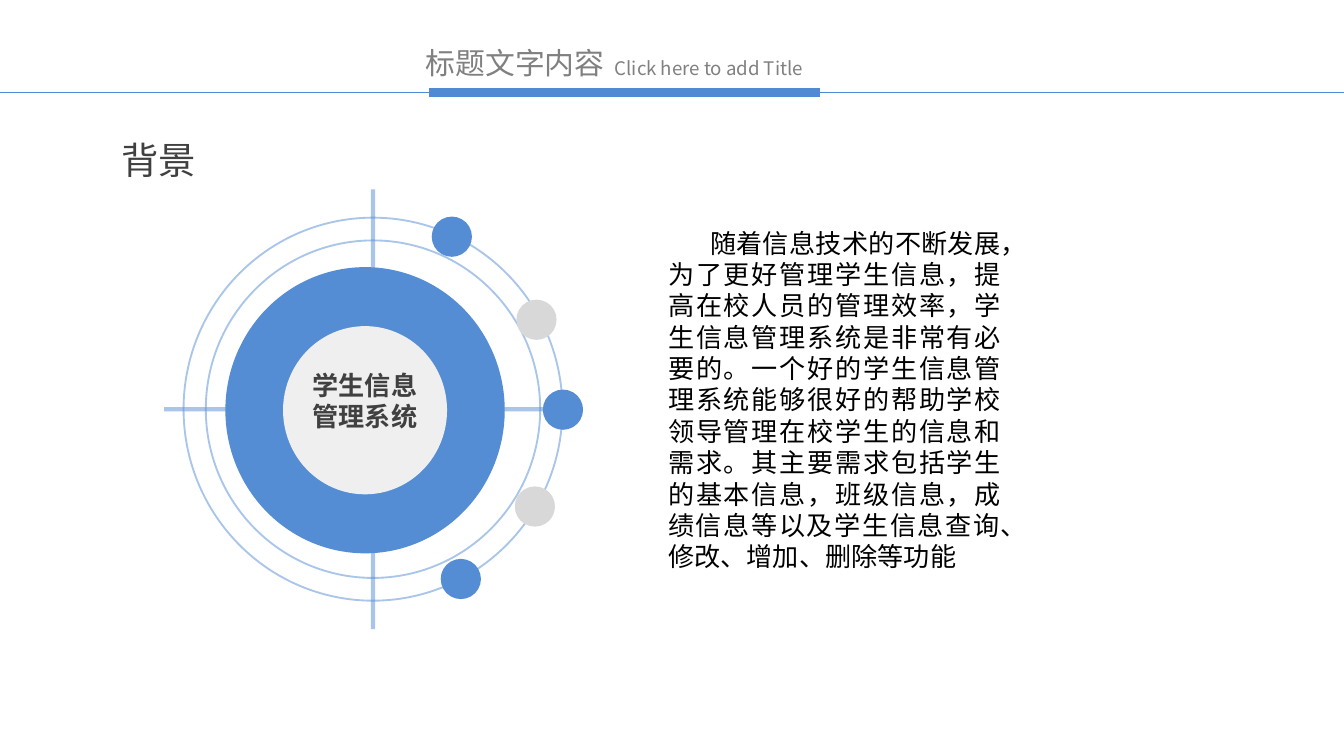
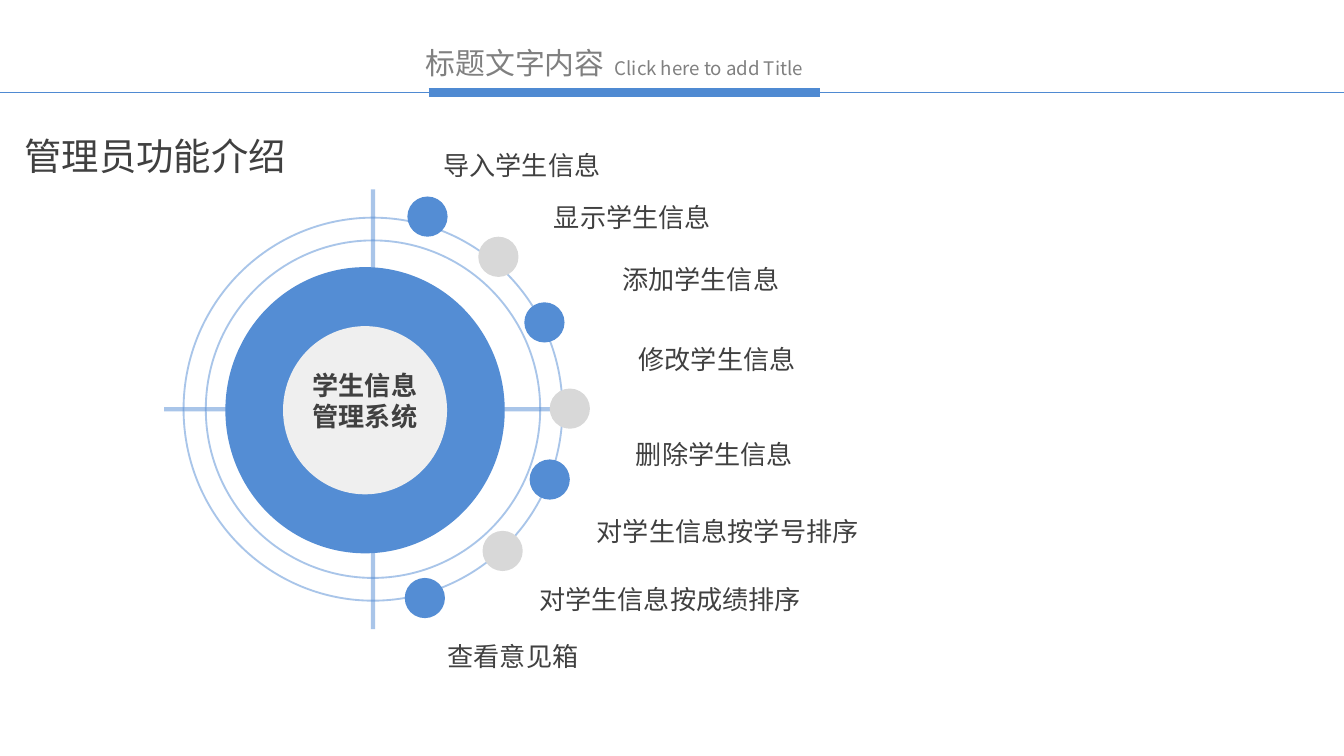
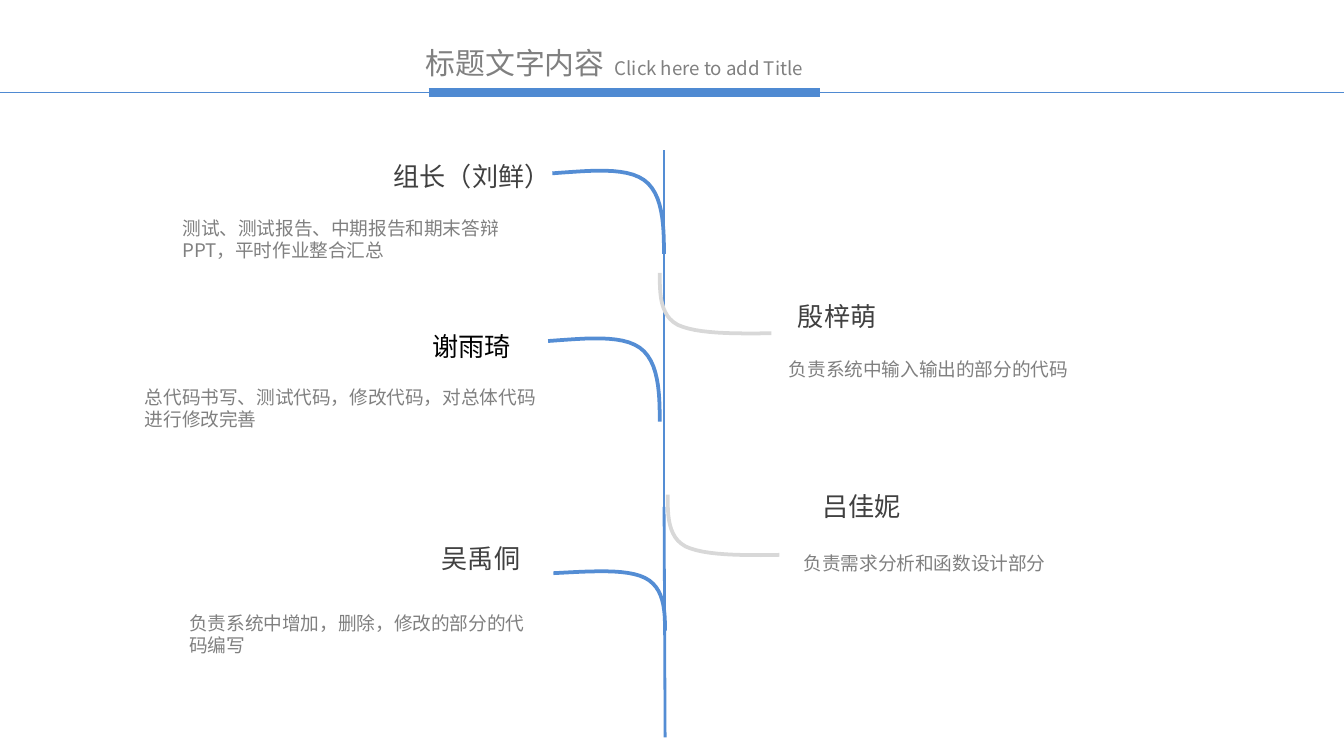
from dataclasses import dataclass
from itertools import cycle

from lxml import etree
from pptx import Presentation
from pptx.dml.color import RGBColor
from pptx.enum import shapes, text
from pptx.oxml import ns
from pptx.util import Cm, Pt


@dataclass(frozen=True)
class Theme:
    font: str = "Noto Sans CJK SC"
    header_blue: str = "4F8AD2"
    blue: str = "548DD4"
    silver: str = "D8D8D8"
    pale: str = "EFEFEF"
    black: str = "000000"
    dark: str = "404040"
    grey: str = "808080"
    title_size: int = 20
    header_size: int = 16
    body_size: int = 14
    small_size: int = 10


THEME = Theme()
PAGE_WIDTH, PAGE_HEIGHT = 25.4, 14.29
WIDE_INSETS, SLIM_INSETS = (0.25, 0.13), (0.18, 0.1)
TITLE_ONLY, BLANK = 5, 6
LEFT, CENTER, JUSTIFY = (text.PP_ALIGN.LEFT, text.PP_ALIGN.CENTER,
                         text.PP_ALIGN.JUSTIFY)

# Boxes are (left, top, width, height) in centimetres
WHEEL_BOX = (3.1, 3.58, 7.9, 8.31)

# Dot centres, measured from the centre of the wheel
BACKGROUND_DOTS = [(1.49, -3.26), (3.09, -1.69), (3.59, 0.01), (3.06, 1.84),
                   (1.66, 3.21)]
FUNCTION_DOTS = [(1.03, -3.64), (2.37, -2.88), (3.24, -1.64), (3.72, -0.01),
                 (3.34, 1.33), (2.45, 2.68), (0.98, 3.57)]

# Labels, measured from the corner of the wheel box
FUNCTIONS = [
    ("导入学生信息", 5.1, -0.86), ("显示学生信息", 7.19, 0.13),
    ("添加学生信息", 8.48, 1.3), ("修改学生信息", 8.79, 2.82),
    ("删除学生信息", 8.74, 4.6), ("对学生信息按学号排序", 8, 6.07),
    ("对学生信息按成绩排序", 6.91, 7.34), ("查看意见箱", 5.18, 8.43),
]

BACKGROUND = ("随着信息技术的不断发展，为了更好管理学生信息，提高在校人员的管理效率，"
              "学生信息管理系统是非常有必要的。一个好的学生信息管理系统能够很好的帮助"
              "学校领导管理在校学生的信息和需求。其主要需求包括学生的基本信息，班级信息，"
              "成绩信息等以及学生信息查询、修改、增加、删除等功能")

# Bezier points of the branches in a unit square
LEFT_CURVE = [(1, 1), (1, 0.65), (0.99, 0.27), (0.82, 0.11),
              (0.65, -0.05), (0.33, 0), (0, 0.03)]
RIGHT_CURVE = [(0, 0), (0, 0.35), (0, 0.7), (0.16, 0.86),
               (0.33, 1.01), (0.67, 1.01), (1, 1)]


@dataclass(frozen=True)
class Member:
    name: str
    duty: str
    branch: tuple      # box of the curve
    name_box: tuple    # left and top from the branch corner, width, height
    duty_box: tuple
    on_left: bool = True
    name_color: str = THEME.dark


MEMBERS = [
    Member("组长（刘鲜）", "测试、测试报告、中期报告和期末答辩PPT，平时作业整合汇总",
           (10.44, 3.23, 2.11, 1.57), (-3.25, -0.33, 4.14, 0.86),
           (-7.24, 0.73, 6.96, 1.12)),
    Member("殷梓萌", "负责系统中输入输出的部分的代码",
           (12.47, 5.16, 2.11, 1.14), (2.36, 0.38, 2.03, 0.86),
           (2.19, 1.47, 6.96, 0.69), on_left=False),
    Member("谢雨琦", "总代码书写、测试代码，修改代码，对总体代码进行修改完善",
           (10.36, 6.4, 2.11, 1.57), (-2.44, -0.28, 3.99, 0.86),
           (-7.87, 0.76, 7.9, 1.12), name_color=THEME.black),
    Member("吕佳妮", "负责需求分析和函数设计部分",
           (12.62, 9.35, 2.11, 1.14), (2.67, -0.21, 6.58, 0.86),
           (2.32, 0.96, 6.96, 0.69), on_left=False),
    Member("吴禹侗", "负责系统中增加，删除，修改的部分的代码编写",
           (10.46, 10.8, 2.11, 1.12), (-2.36, -0.67, 2.03, 0.86),
           (-7.13, 0.63, 6.96, 1.12)),
]


# Drawing helpers
def lengths(values):
    return [Cm(value) for value in values]


def rgb(color):
    return RGBColor.from_string(color)


def write(shape, words, size, color, align=LEFT, bold=False, wrap=True,
          insets=WIDE_INSETS):
    frame = shape.text_frame
    frame.text = words
    frame.word_wrap = wrap
    frame.auto_size = text.MSO_AUTO_SIZE.SHAPE_TO_FIT_TEXT
    frame.vertical_anchor = text.MSO_ANCHOR.TOP
    frame.margin_left = frame.margin_right = Cm(insets[0])
    frame.margin_top = frame.margin_bottom = Cm(insets[1])
    para = frame.paragraphs[0]
    para.alignment = align
    for span in para.runs:
        span.font.size = Pt(size)
        span.font.bold = bold
        span.font.name = THEME.font
        span.font.color.rgb = rgb(color)
        east_asian = etree.SubElement(span.font._element, ns.qn("a:ea"))
        east_asian.set("typeface", THEME.font)
    return para


def add_text(page, box, *args, **options):
    return write(page.shapes.add_textbox(*lengths(box)), *args, **options)


def set_line(shape, color, width, alpha=None):
    shape.line.color.rgb = rgb(color)
    shape.line.width = Pt(width)
    if alpha:
        for tint in shape.element.xpath("./p:spPr/a:ln/a:solidFill/a:srgbClr"):
            etree.SubElement(tint, ns.qn("a:alpha")).set("val", str(alpha * 1000))


def add_line(page, start, end, color, width, alpha=None):
    line = page.shapes.add_connector(shapes.MSO_CONNECTOR.STRAIGHT,
                                     *lengths((*start, *end)))
    set_line(line, color, width, alpha)
    etree.SubElement(line.element.spPr, ns.qn("a:effectLst"))


def add_ellipse(page, center, size, fill=None):
    left, top = (middle - side / 2 for middle, side in zip(center, size))
    ellipse = page.shapes.add_shape(shapes.MSO_SHAPE.OVAL,
                                    *lengths((left, top, *size)))
    ellipse.shadow.inherit = False
    if fill:
        ellipse.fill.solid()
        ellipse.fill.fore_color.rgb = rgb(fill)
        ellipse.line.fill.background()
    else:
        ellipse.fill.background()
        set_line(ellipse, THEME.blue, 1, alpha=50)


def bezier(points, steps=12):
    """Points along a chain of cubic curves."""
    track = [points[0]]
    for first in range(0, len(points) - 1, 3):
        segment = points[first:first + 4]
        for step in range(1, steps + 1):
            t = step / steps
            weights = ((1 - t) ** 3, 3 * t * (1 - t) ** 2, 3 * t * t * (1 - t), t ** 3)
            track.append(tuple(sum(w * value for w, value in zip(weights, axis))
                               for axis in zip(*segment)))
    return track


# Shared header, kept on the slide master
def build_header(deck, page):
    add_text(page, (7.8, 0.71, 4.22, 0.94), "标题文字内容",
             THEME.header_size, THEME.grey, wrap=False)
    add_text(page, (11.37, 0.94, 4.3, 0.69), "Click here to add Title",
             THEME.small_size, THEME.grey, wrap=False)
    add_line(page, (0, 1.75), (PAGE_WIDTH, 1.75), THEME.header_blue, 0.75)
    add_line(page, (8.1, 1.75), (15.49, 1.75), THEME.header_blue, 5)
    tree = deck.slide_master.shapes.element
    for number, shape in enumerate(list(page.shapes), start=101):
        shape.element.xpath(".//p:cNvPr")[0].set("id", str(number))
        tree.append(shape.element)


def add_titled_page(deck, title, box):
    page = deck.slides.add_slide(deck.slide_layouts[TITLE_ONLY])
    heading = page.shapes.title
    heading.left, heading.top, heading.width, heading.height = lengths(box)
    write(heading, title, THEME.title_size, THEME.dark, CENTER, wrap=False)
    return page


# Wheel with cross hairs, rings, hub and dots
def draw_wheel(page, box, dots):
    left, top, width, height = box
    x, y = left + width / 2, top + height / 2
    add_line(page, (left, y), (left + width, y), THEME.blue, 2.25, alpha=50)
    add_line(page, (x, top), (x, top + height), THEME.blue, 2.25, alpha=50)
    for ring in ((6.32, 6.38), (7.16, 7.24)):
        add_ellipse(page, (x, y), ring)

    hub = (x - 0.15, y + 0.02)
    add_ellipse(page, hub, (5.28, 5.41), THEME.blue)
    add_ellipse(page, hub, (3.1, 3.18), THEME.pale)
    for (right, down), color in zip(dots, cycle((THEME.blue, THEME.silver))):
        for side in (0.76, 0.64):
            add_ellipse(page, (x + right, y + down), (side, side), color)

    add_text(page, (hub[0] - 1.25, hub[1] - 0.88, 2.5, 1.4), "学生信息管理系统",
             THEME.body_size, THEME.dark, CENTER, bold=True, insets=SLIM_INSETS)


def draw_background(page, box):
    para = add_text(page, box, BACKGROUND, THEME.body_size, THEME.black, JUSTIFY,
                    insets=SLIM_INSETS)
    para._p.get_or_add_pPr().set("indent", str(Cm(0.79)))


def draw_functions(page, box):
    for words, right, down in FUNCTIONS:
        add_text(page, (box[0] + right, box[1] + down, 5.72, 0.79), words,
                 THEME.body_size, THEME.dark, insets=SLIM_INSETS)


# Team tree: trunk, then one branch per member
def draw_trunk(page, box):
    left, top, width, height = box
    joint = (left, top + 6.74)
    add_line(page, joint, (left + width, top + height), THEME.blue, 1.5)
    add_line(page, joint, (left, top), THEME.blue, 1)


def draw_member(page, member):
    left, top, width, height = member.branch
    curve, color = ((LEFT_CURVE, THEME.blue) if member.on_left
                    else (RIGHT_CURVE, THEME.silver))
    track = [(Cm(left + x * width), Cm(top + y * height)) for x, y in bezier(curve)]
    builder = page.shapes.build_freeform(*track[0])
    builder.add_line_segments(track[1:], close=False)
    branch = builder.convert_to_shape()
    branch.shadow.inherit = False
    branch.fill.background()
    set_line(branch, color, 2)

    def place(box):
        return (left + box[0], top + box[1], *box[2:])

    add_text(page, place(member.name_box), member.name, THEME.body_size,
             member.name_color)
    duty = add_text(page, place(member.duty_box), member.duty, THEME.small_size,
                    THEME.grey)
    duty.space_before = Pt(2)


def main():
    deck = Presentation()
    deck.slide_width, deck.slide_height = Cm(PAGE_WIDTH), Cm(PAGE_HEIGHT)

    # The team page comes last but the header is drawn only once
    background = deck.slides.add_slide(deck.slide_layouts[TITLE_ONLY])
    heading = background.shapes.title
    heading.element.getparent().remove(heading.element)
    build_header(deck, background)
    background.shapes.clone_layout_placeholders(background.slide_layout)
    heading = background.shapes.title
    heading.left, heading.top, heading.width, heading.height = lengths(
        (2.03, 2.46, 1.93, 1.12))
    write(heading, "背景", THEME.title_size, THEME.dark, CENTER, wrap=False)
    draw_wheel(background, WHEEL_BOX, BACKGROUND_DOTS)
    draw_background(background, (12.45, 4.19, 6.65, 7.37))

    functions = add_titled_page(deck, "管理员功能介绍", (0.18, 2.39, 5.51, 1.12))
    draw_wheel(functions, WHEEL_BOX, FUNCTION_DOTS)
    draw_functions(functions, WHEEL_BOX)

    team = deck.slides.add_slide(deck.slide_layouts[BLANK])
    draw_trunk(team, (12.55, 2.84, 0.02, 11.1))
    for member in MEMBERS:
        draw_member(team, member)

    deck.save("out.pptx")


if __name__ == "__main__":
    main()
